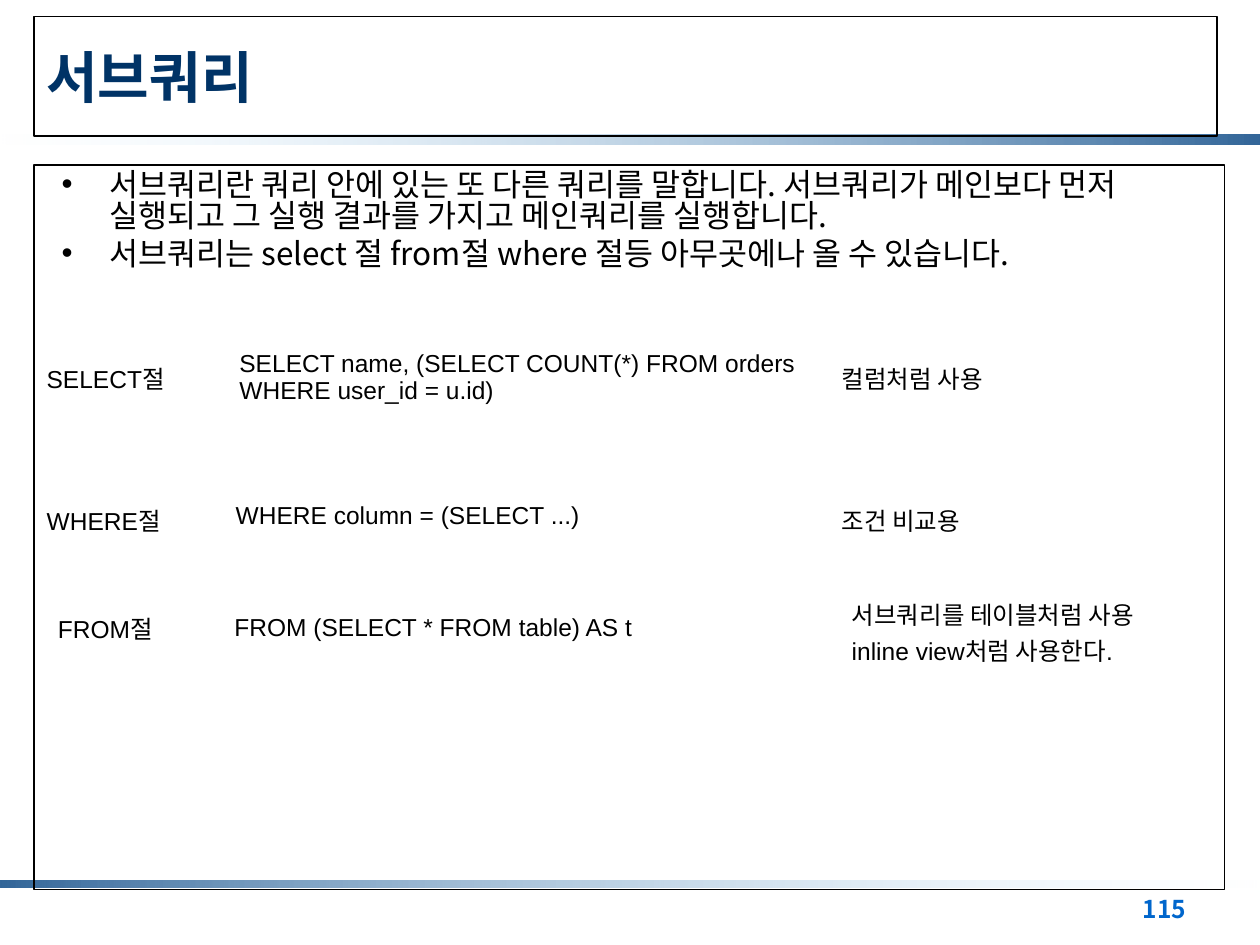
from dataclasses import dataclass

from lxml.etree import SubElement
from pptx import Presentation
from pptx.dml.color import RGBColor
from pptx.enum.shapes import MSO_SHAPE
from pptx.enum.text import MSO_ANCHOR, PP_ALIGN
from pptx.oxml.ns import qn
from pptx.util import Emu, Inches, Pt

BLACK = RGBColor(0x00, 0x00, 0x00)
NAVY = RGBColor(0x00, 0x33, 0x66)
STEEL = RGBColor(0x33, 0x66, 0x99)
PALE = RGBColor(0xCC, 0xEC, 0xFF)
PAGE_BLUE = RGBColor(0x00, 0x66, 0xCC)
KOREAN_FONT = "Noto Sans CJK KR"
NO_TABLE_STYLE = "{2D5ABB26-0587-4C30-8999-92F81FD0307C}"

# The slide is a grid of 100 columns by 75 rows.
WIDTH, HEIGHT = Inches(10), Inches(7.5)
COLUMN, ROW = WIDTH / 100, HEIGHT / 75


@dataclass(frozen=True)
class Box:
    left: float
    top: float
    width: float
    height: float

    def emu(self) -> tuple[Emu, ...]:
        return (Emu(round(self.left * COLUMN)), Emu(round(self.top * ROW)),
                Emu(round(self.width * COLUMN)), Emu(round(self.height * ROW)))


@dataclass(frozen=True)
class TextStyle:
    name: str
    size: float
    color: RGBColor
    bold: bool = False


@dataclass(frozen=True)
class Clause:
    """One kind of subquery: its keyword, an example and its use."""
    box: Box
    columns: tuple[float, ...]
    cells: tuple[tuple[str, ...], ...]


TITLE = TextStyle("Lato", 32, NAVY, True)
BODY = TextStyle(KOREAN_FONT, 18, BLACK)
CELL = TextStyle("Arial", 14, BLACK)
PAGE_NUMBER = TextStyle(KOREAN_FONT, 14, PAGE_BLUE, True)

EXPLANATION = (
    "서브쿼리란 쿼리 안에 있는 또 다른 쿼리를 말합니다. 서브쿼리가 메인보다 먼저 "
    "실행되고 그 실행 결과를 가지고 메인쿼리를 실행합니다.",
    "서브쿼리는 select 절 from절 where 절등 아무곳에나 올 수 있습니다.",
)
CLAUSES = (
    Clause(Box(2.7, 27.1, 94.5, 5.7), (15.3, 47.8, 31.5), (
        ("SELECT절",),
        ("SELECT name, (SELECT COUNT(*) FROM orders WHERE user_id = u.id)",),
        ("컬럼처럼 사용",))),
    Clause(Box(2.7, 39.3, 94.5, 3.3), (15, 48.1, 31.5), (
        ("WHERE절",), ("WHERE column = (SELECT ...)",), ("조건 비교용",))),
    Clause(Box(3.6, 46.8, 94.5, 6.1), (14, 49, 31.5), (
        ("FROM절",), ("FROM (SELECT * FROM table) AS t",),
        ("서브쿼리를 테이블처럼 사용", "inline view처럼 사용한다."))),
)


def write(frame, lines: tuple[str, ...], style: TextStyle, bulleted: bool = False) -> None:
    frame.word_wrap = True
    for index, line in enumerate(lines):
        paragraph = frame.paragraphs[0] if index == 0 else frame.add_paragraph()
        paragraph.alignment = PP_ALIGN.LEFT
        if bulleted:
            add_bullet(paragraph)
            paragraph.line_spacing = 0.83
            paragraph.space_before = Pt(3.6 if index else 0)
        run = paragraph.add_run()
        run.text = line
        formats = {"name": style.name, "size": Pt(style.size), "bold": style.bold}
        for attribute, value in formats.items():
            setattr(run.font, attribute, value)
        run.font.color.rgb = style.color
        SubElement(run._r.get_or_add_rPr(), qn("a:ea"), typeface=KOREAN_FONT)


def add_bullet(paragraph) -> None:
    properties = paragraph._p.get_or_add_pPr()
    properties.set("marL", str(Inches(0.6)))
    properties.set("indent", str(Inches(-0.38)))
    properties.set("marL", str(Inches(0.5)))
    SubElement(properties, qn("a:buFont"), typeface="Arial")
    SubElement(properties, qn("a:buChar"), char="•")


def add_bar(slide, box: Box, colors: tuple[RGBColor, RGBColor]) -> None:
    """Draw a bar whose pale end fades out completely."""
    bar = slide.shapes.add_shape(MSO_SHAPE.RECTANGLE, *box.emu())
    bar.shadow.inherit = False
    bar.line.fill.background()
    bar.fill.gradient()
    bar.fill.gradient_angle = 0
    for stop, color in zip(bar.fill.gradient_stops, colors):
        stop.color.rgb = color
    for pale in bar._element.spPr.iter(qn("a:srgbClr")):
        if pale.get("val") == str(PALE):
            SubElement(pale, qn("a:alpha"), val="0")


def add_panel(slide, box: Box, lines: tuple[str, ...], style: TextStyle,
              anchor: MSO_ANCHOR, bulleted: bool = False) -> None:
    panel = slide.shapes.add_shape(MSO_SHAPE.RECTANGLE, *box.emu())
    panel.shadow.inherit = False
    panel.fill.background()
    panel.line.color.rgb = BLACK
    panel.line.width = Pt(0.75)
    panel.text_frame.vertical_anchor = anchor
    write(panel.text_frame, lines, style, bulleted)


def add_clause(slide, clause: Clause) -> None:
    frame = slide.shapes.add_table(1, len(clause.columns), *clause.box.emu())
    table = frame.table
    table.first_row = table.horz_banding = False
    next(frame._element.iter(qn("a:tableStyleId"))).text = NO_TABLE_STYLE
    for column, width in zip(table.columns, clause.columns):
        column.width = Emu(round(width * COLUMN))
    for cell, lines in zip(table.rows[0].cells, clause.cells):
        cell.fill.background()
        cell.vertical_anchor = MSO_ANCHOR.MIDDLE
        write(cell.text_frame, lines, CELL)


def main() -> None:
    presentation = Presentation()
    presentation.slide_width, presentation.slide_height = WIDTH, HEIGHT
    slide = presentation.slides.add_slide(presentation.slide_layouts[6])

    page_number = slide.shapes.add_textbox(*Box(89.7, 70.5, 7.6, 3.7).emu())
    write(page_number.text_frame, ("115",), PAGE_NUMBER)
    add_bar(slide, Box(0, 10.7, 100, 0.8), (PALE, STEEL))
    add_bar(slide, Box(0, 69.9, 100, 0.5), (STEEL, PALE))
    add_panel(slide, Box(2.7, 1.3, 93.9, 9.5), ("서브쿼리",), TITLE, MSO_ANCHOR.MIDDLE)
    add_panel(slide, Box(2.7, 13.1, 94.5, 57.5), EXPLANATION, BODY, MSO_ANCHOR.TOP, True)
    for clause in CLAUSES:
        add_clause(slide, clause)

    presentation.save("out.pptx")


if __name__ == "__main__":
    main()
